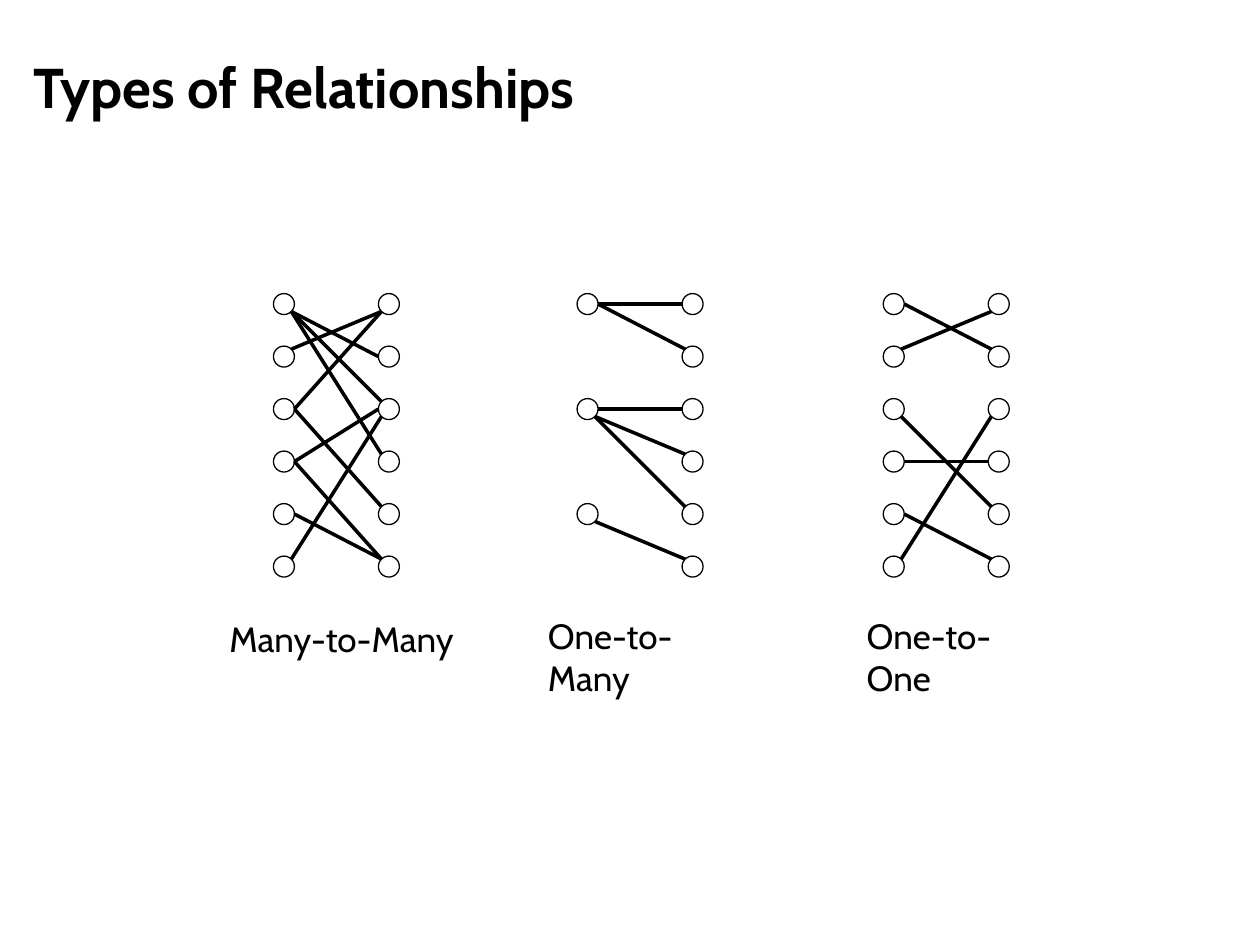
from math import sqrt

from lxml import etree
from pptx import Presentation
from pptx.dml.color import RGBColor
from pptx.enum.shapes import MSO_CONNECTOR, MSO_SHAPE
from pptx.enum.text import MSO_ANCHOR, PP_ALIGN
from pptx.oxml.ns import qn
from pptx.util import Inches, Pt

BLACK = RGBColor(0, 0, 0)
WHITE = RGBColor(255, 255, 255)
FONT = "Cabin"
STRAIGHT = MSO_CONNECTOR.STRAIGHT
OVAL = MSO_SHAPE.OVAL
TOP, MIDDLE = MSO_ANCHOR.TOP, MSO_ANCHOR.MIDDLE
LEFT, CENTER = PP_ALIGN.LEFT, PP_ALIGN.CENTER

# Node grid, in inches
DIAMETER = 1 / 6
FIRST_ROW = 2.33
ROW_PITCH = 5 / 12
COLUMN_GAP = 5 / 6
ALL_ROWS = range(6)

# Points on a node's inner side where a link can end
UPPER, SIDE, LOWER = -1, 0, 1

# Links: left row, its end point, right row, its end point
MANY_TO_MANY = [
    (0, LOWER, 2, UPPER), (0, LOWER, 1, SIDE), (0, LOWER, 3, UPPER),
    (3, SIDE, 2, SIDE), (5, UPPER, 2, LOWER), (2, SIDE, 0, LOWER),
    (2, SIDE, 4, UPPER), (4, SIDE, 5, UPPER), (3, SIDE, 5, UPPER),
    (1, UPPER, 0, LOWER),
]
ONE_TO_MANY = [
    (0, SIDE, 0, SIDE), (0, SIDE, 1, UPPER), (2, SIDE, 2, SIDE),
    (2, LOWER, 3, UPPER), (2, LOWER, 4, UPPER), (4, LOWER, 5, UPPER),
]
ONE_TO_ONE = [
    (0, SIDE, 1, UPPER), (1, UPPER, 0, LOWER), (4, SIDE, 5, UPPER),
    (3, SIDE, 3, SIDE), (2, LOWER, 4, UPPER), (5, UPPER, 2, LOWER),
]

# Left of the diagram, rows of its left nodes, links, label and label box
DIAGRAMS = [
    (2.17, ALL_ROWS, MANY_TO_MANY, "Many-to-Many", (1.67, 4.85, 2.08, 0.43), CENTER),
    (4.58, (0, 2, 4), ONE_TO_MANY, "One-to-Many", (4.25, 4.83, 1.73, 0.43), LEFT),
    (7.01, ALL_ROWS, ONE_TO_ONE, "One-to-One", (6.78, 4.83, 1.64, 0.43), LEFT),
]


def add_text(slide, text, box, size, bold=False, align=LEFT, anchor=TOP):
    frame = slide.shapes.add_textbox(*map(Inches, box)).text_frame
    frame.word_wrap = True
    frame.vertical_anchor = anchor
    paragraph = frame.paragraphs[0]
    paragraph.text = text
    paragraph.alignment = align
    paragraph.font.name = FONT
    paragraph.font.size = Pt(size)
    paragraph.font.bold = bold
    paragraph.font.color.rgb = BLACK


def add_node(slide, left, row):
    top = FIRST_ROW + row * ROW_PITCH
    shape = slide.shapes.add_shape(
        OVAL, Inches(left), Inches(top), Inches(DIAMETER), Inches(DIAMETER))
    shape.shadow.inherit = False
    shape.fill.solid()
    shape.fill.fore_color.rgb = WHITE
    shape.line.color.rgb = BLACK
    shape.line.width = Pt(0.75)


def link_end(left, row, point, direction):
    """Point on a node's rim; direction is 1 for rightward, -1 for leftward."""
    radius = DIAMETER / 2
    diagonal = radius / sqrt(2)
    across = radius if point == SIDE else diagonal
    x = left + radius + direction * across
    y = FIRST_ROW + row * ROW_PITCH + radius + point * diagonal
    return Inches(x), Inches(y)


def add_link(slide, start, end):
    connector = slide.shapes.add_connector(STRAIGHT, *start, *end)
    connector.line.color.rgb = BLACK
    connector.line.width = Pt(2)
    etree.SubElement(connector._element.spPr, qn("a:effectLst"))


def add_diagram(slide, left, left_rows, links):
    right = left + COLUMN_GAP
    for row in left_rows:
        add_node(slide, left, row)
    for row in ALL_ROWS:
        add_node(slide, right, row)
    for left_row, left_point, right_row, right_point in links:
        add_link(slide, link_end(left, left_row, left_point, 1),
                 link_end(right, right_row, right_point, -1))


def main():
    presentation = Presentation()
    presentation.slide_width = Inches(10)
    presentation.slide_height = Inches(7.5)
    slide = presentation.slides.add_slide(presentation.slide_layouts[6])

    # Title
    add_text(slide, "Types of Relationships", (0.17, 0.12, 9.5, 1.12), 32,
             bold=True, anchor=MIDDLE)

    # Diagrams with their labels
    for left, left_rows, links, label, box, align in DIAGRAMS:
        add_text(slide, label, box, 20, align=align)
        add_diagram(slide, left, left_rows, links)

    presentation.save("out.pptx")


if __name__ == "__main__":
    main()
